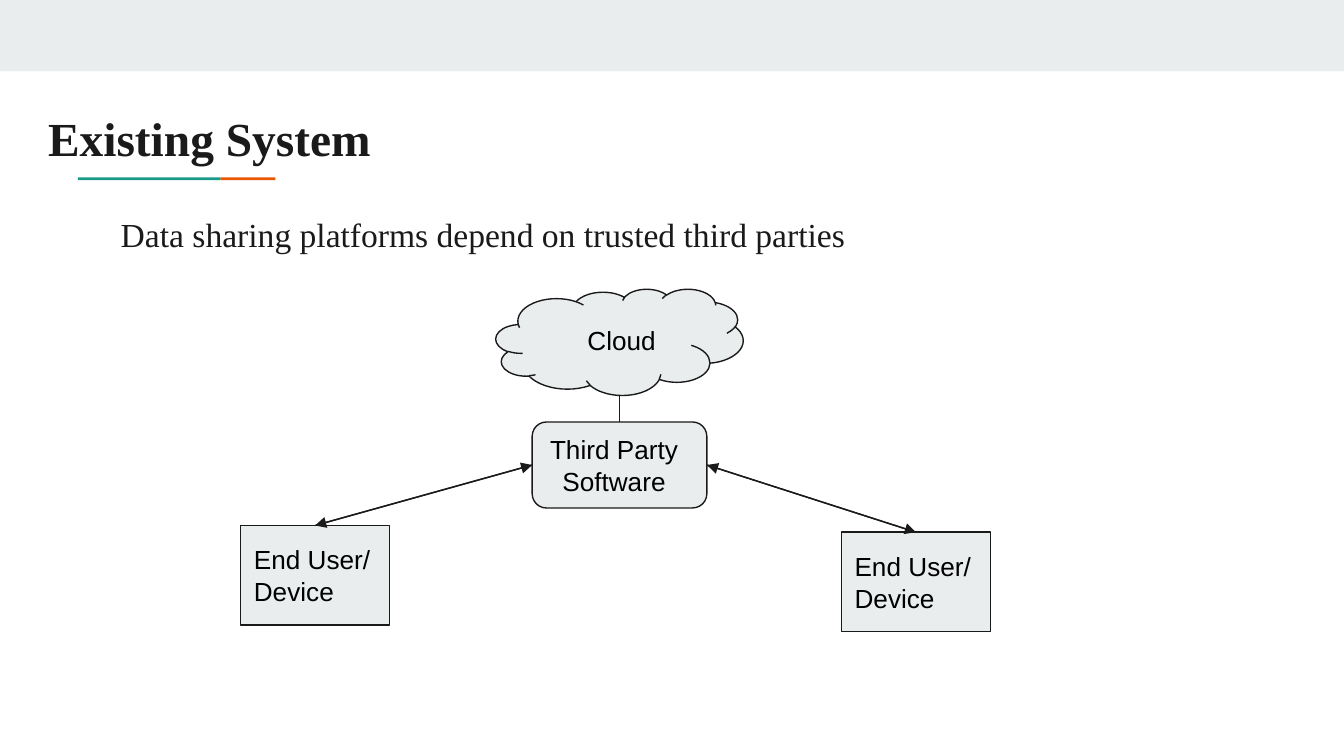
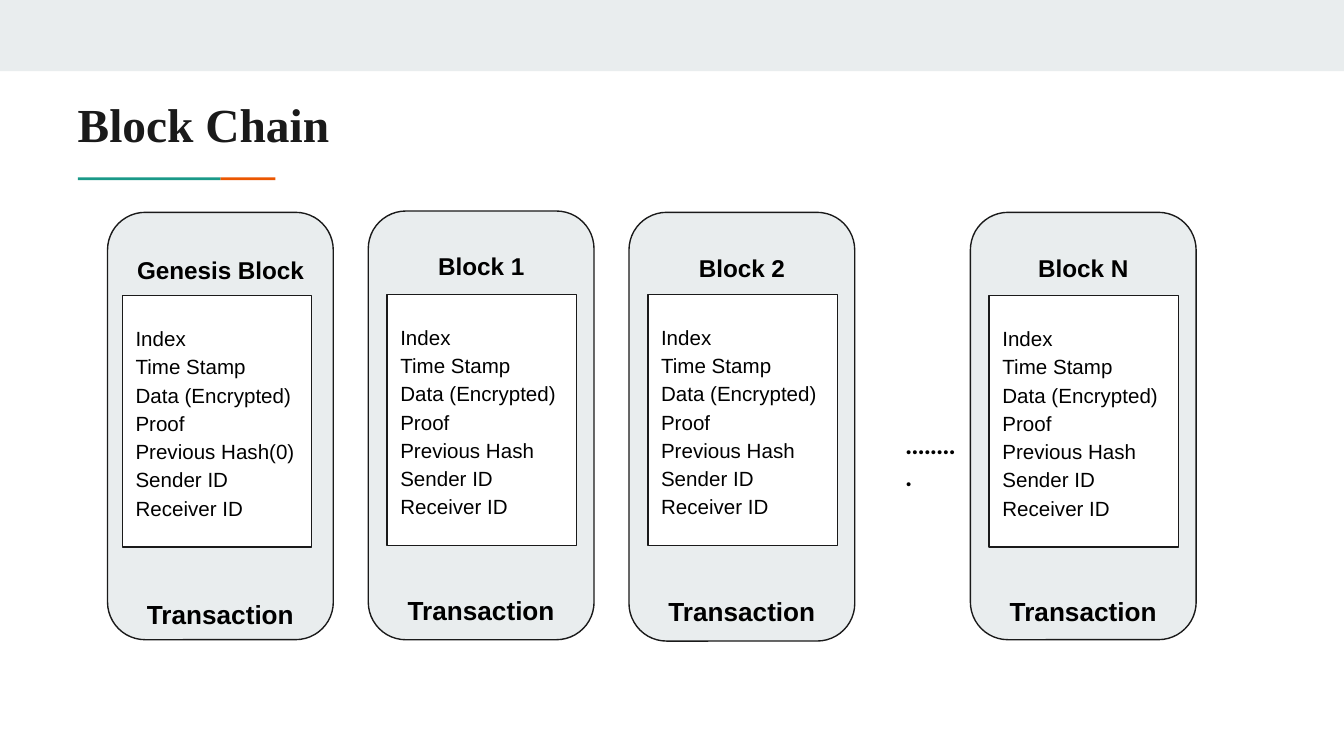
from dataclasses import dataclass

from lxml import etree
from pptx import Presentation
from pptx.dml.color import RGBColor
from pptx.enum.shapes import MSO_CONNECTOR, MSO_SHAPE
from pptx.enum.text import MSO_ANCHOR, PP_ALIGN
from pptx.oxml.ns import qn
from pptx.util import Inches, Pt

RECTANGLE = MSO_SHAPE.RECTANGLE
ROUNDED = MSO_SHAPE.ROUNDED_RECTANGLE
CLOUD = MSO_SHAPE.CLOUD
STRAIGHT = MSO_CONNECTOR.STRAIGHT
TOP, MIDDLE = MSO_ANCHOR.TOP, MSO_ANCHOR.MIDDLE
LEFT, CENTER = PP_ALIGN.LEFT, PP_ALIGN.CENTER
SIDE_TOP, SIDE_LEFT, SIDE_RIGHT = 0, 1, 3


@dataclass(frozen=True)
class Theme:
    white: RGBColor = RGBColor(0xFF, 0xFF, 0xFF)
    black: RGBColor = RGBColor(0, 0, 0)
    ink: RGBColor = RGBColor(0x1A, 0x1A, 0x1A)
    panel: RGBColor = RGBColor(0xE9, 0xED, 0xEE)
    teal: RGBColor = RGBColor(0x1A, 0x99, 0x88)
    orange: RGBColor = RGBColor(0xEB, 0x56, 0x00)
    serif: str = "Times New Roman"
    sans: str = "Arial"
    dots: str = "Lato"
    title_size: float = 25.4
    body_size: float = 18
    label_size: float = 14
    heading_size: float = 13
    field_size: float = 11
    line_width: float = 0.75


theme = Theme()


def add_box(slide, kind, left, top, width, height, fill, outlined=True):
    shape = slide.shapes.add_shape(
        kind, Inches(left), Inches(top), Inches(width), Inches(height))
    shape.shadow.inherit = False
    shape.fill.solid()
    shape.fill.fore_color.rgb = fill
    if outlined:
        shape.line.color.rgb = theme.ink
        shape.line.width = Pt(theme.line_width)
    else:
        shape.line.fill.background()
    return shape


def write_text(shape, text, size, font=theme.sans, color=theme.black, bold=False,
               align=LEFT, anchor=MIDDLE, spacing=1.0):
    frame = shape.text_frame
    frame.text = text
    frame.word_wrap = True
    frame.vertical_anchor = anchor
    frame.margin_left = frame.margin_right = Inches(0.1)
    frame.margin_top = frame.margin_bottom = Inches(0.1)
    for paragraph in frame.paragraphs:
        paragraph.alignment = align
        paragraph.line_spacing = spacing
        for run in paragraph.runs:
            run.font.size = Pt(size)
            run.font.name = font
            run.font.color.rgb = color
            run.font.bold = bold
    return frame


# Widescreen, 16 to 9
presentation = Presentation()
presentation.slide_width = Inches(10)
presentation.slide_height = Inches(10 * 9 / 16)
blank_layout = presentation.slide_layouts[6]

# Shared band, accent line and title
slides = []
for title, left, top, width in (("Existing System", 0.26, 0.71, 8.94),
                                ("Block Chain", 0.48, 0.61, 8.41)):
    slide = presentation.slides.add_slide(blank_layout)
    add_box(slide, RECTANGLE, 0, 0, 10, 0.53, theme.panel, outlined=False)
    add_box(slide, RECTANGLE, 1.64, 1.32, 0.41, 0.02, theme.orange, outlined=False)
    add_box(slide, RECTANGLE, 0.58, 1.32, 1.06, 0.02, theme.teal, outlined=False)
    title_box = slide.shapes.add_textbox(
        Inches(left), Inches(top), Inches(width), Inches(0.59))
    write_text(title_box, title, theme.title_size, theme.serif, theme.ink,
               bold=True, anchor=TOP)
    slides.append(slide)
system_slide, chain_slide = slides

# Existing system: statement
statement = system_slide.shapes.add_textbox(
    Inches(0.8), Inches(1.45), Inches(8.41), Inches(3.3))
write_text(statement, "Data sharing platforms depend on trusted third parties",
           theme.body_size, theme.serif, theme.ink, anchor=TOP, spacing=1.15)

# Existing system: cloud, software and devices
cloud = add_box(system_slide, CLOUD, 3.69, 2.15, 1.84, 0.79, theme.panel)
cloud_frame = write_text(cloud, "Cloud", theme.label_size, align=CENTER)
cloud_frame.margin_left = Inches(0.26)
software = add_box(system_slide, ROUNDED, 3.96, 3.14, 1.3, 0.64, theme.panel)
software_frame = write_text(software, "Third Party\nSoftware", theme.label_size,
                            align=CENTER)
software_frame.margin_left = Inches(0.06)
software_frame.margin_right = Inches(0.14)
devices = []
for left, top in ((6.26, 3.96), (1.79, 3.91)):
    device = add_box(system_slide, RECTANGLE, left, top, 1.11, 0.74, theme.panel)
    write_text(device, "End User/\nDevice", theme.label_size)
    devices.append(device)
right_device, left_device = devices

# Existing system: one arrow each way between software and devices
links = []
for device, side in ((left_device, SIDE_LEFT), (right_device, SIDE_RIGHT)):
    device_end, software_end = (device, SIDE_TOP), (software, side)
    for start, end in ((device_end, software_end), (software_end, device_end)):
        arrow = system_slide.shapes.add_connector(STRAIGHT, 0, 0, 0, 0)
        arrow.begin_connect(*start)
        arrow.end_connect(*end)
        links.append((arrow, True))
cloud_link = system_slide.shapes.add_connector(
    STRAIGHT, Inches(4.61), Inches(2.94), Inches(4.61), Inches(3.14))
cloud_link.end_connect(software, SIDE_TOP)
links.append((cloud_link, False))
for link, has_arrowhead in links:
    link.line.color.rgb = theme.ink
    link.line.width = Pt(theme.line_width)
    properties = link._element.spPr
    etree.SubElement(properties, qn("a:effectLst"))
    if has_arrowhead:
        etree.SubElement(properties.find(qn("a:ln")), qn("a:tailEnd"),
                         type="triangle")

# Block chain: blocks with their fields
blocks = (
    # heading, left, top, height, heading inset, field box left, field box top, hash
    ("Genesis Block", 0.8, 1.58, 3.18, 0.24, 0.91, 2.2, "Previous Hash(0)"),
    ("Block 1", 2.74, 1.57, 3.19, 0.22, 2.88, 2.19, "Previous Hash"),
    ("Block 2", 4.68, 1.58, 3.19, 0.22, 4.82, 2.19, "Previous Hash"),
    ("Block N", 7.22, 1.58, 3.18, 0.22, 7.36, 2.2, "Previous Hash"),
)
for heading, left, top, height, inset, field_left, field_top, hash_field in blocks:
    block = add_box(chain_slide, ROUNDED, left, top, 1.68, height, theme.panel)
    block_frame = write_text(block, heading + "\nTransaction", theme.heading_size,
                             bold=True, align=CENTER, anchor=TOP)
    block_frame.margin_top = Inches(inset)
    block_frame.margin_bottom = 0
    transaction = block_frame.paragraphs[1]
    transaction.space_before = Pt(168)
    transaction.runs[0].font.size = Pt(theme.label_size)

    fields = ("Index", "Time Stamp", "Data (Encrypted)", "Proof", hash_field,
              "Sender ID", "Receiver ID")
    field_box = add_box(chain_slide, RECTANGLE, field_left, field_top, 1.41, 1.87,
                        theme.white)
    write_text(field_box, "\n".join(fields), theme.field_size, spacing=1.15)

# Block chain: dots for the blocks left out
dots = chain_slide.shapes.add_textbox(
    Inches(6.64), Inches(3.09), Inches(0.61), Inches(0.44))
write_text(dots, ".........", theme.label_size, theme.dots, bold=True, anchor=TOP)

presentation.save("out.pptx")
